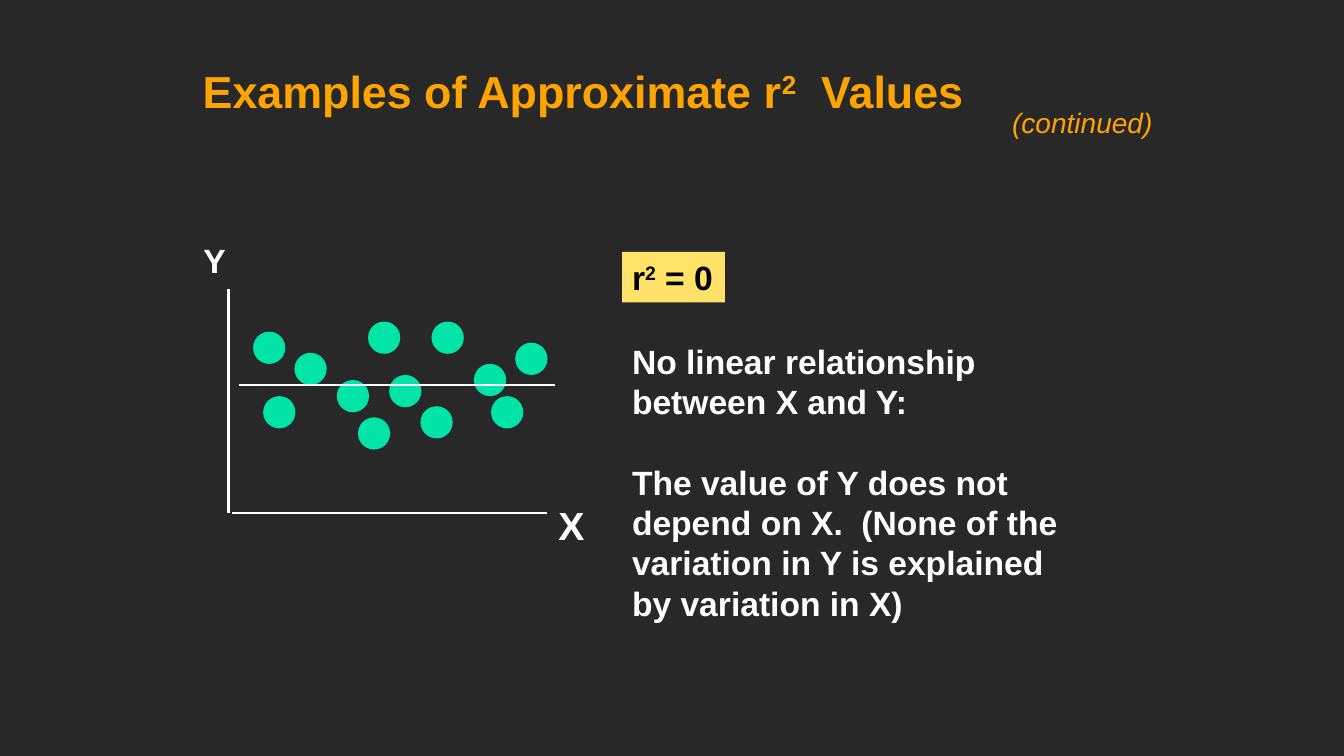
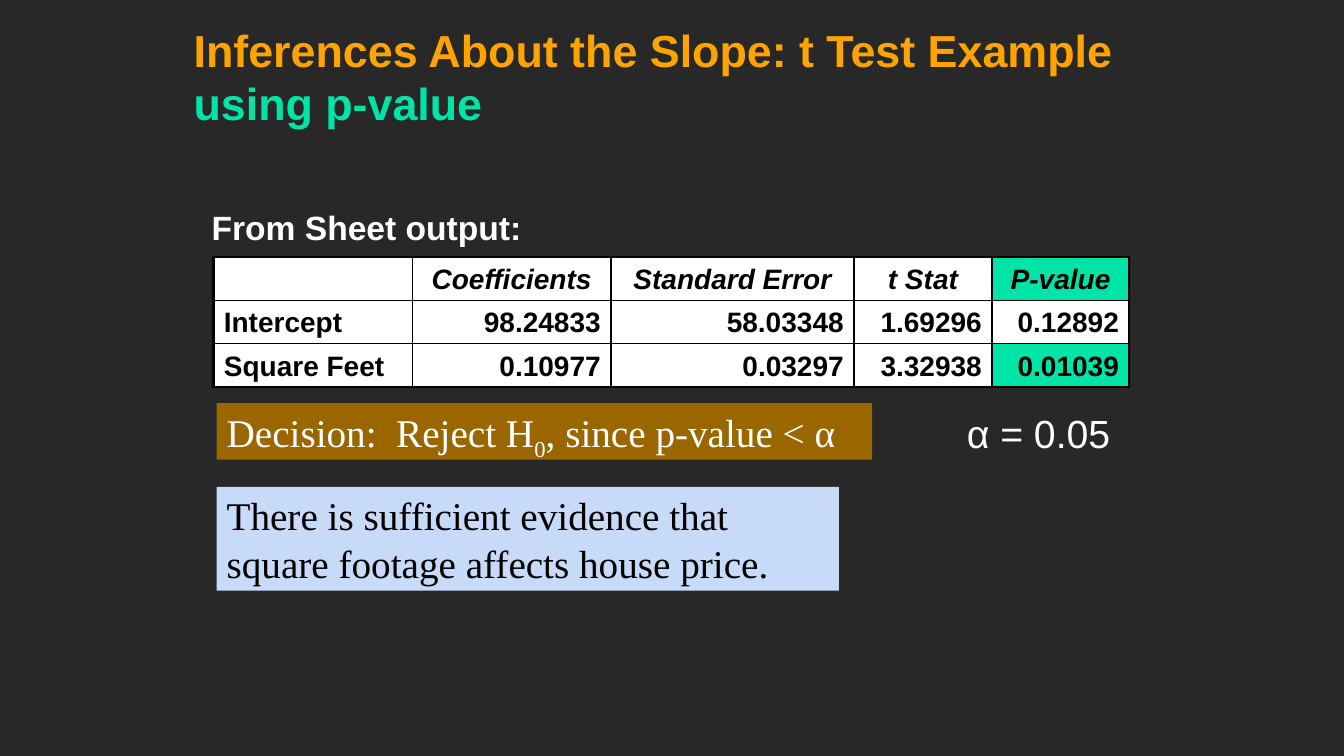
from lxml import etree
from pptx import Presentation
from pptx import util as u
from pptx.dml.color import RGBColor
from pptx.enum import shapes, text
from pptx.oxml.ns import qn

Inches = u.Inches
BACKGROUND, ORANGE, GREEN = "282828", "FEA402", "00E4A8"
WHITE, BLACK, YELLOW = "FFFFFF", "000000", "FFE267"
BROWN, PALE_BLUE = "996600", "C7DAF7"


def color(value):
    return RGBColor.from_string(value)


def write(frame, paragraphs, size, ink, bold=False, italic=False, font="Arial"):
    """Fill a text frame; a paragraph is a list of (text, baseline percent, colour or None)."""
    frame.word_wrap = True
    frame.auto_size = text.MSO_AUTO_SIZE.NONE
    for index, pieces in enumerate(paragraphs):
        paragraph = frame.paragraphs[0] if index == 0 else frame.add_paragraph()
        paragraph.alignment = text.PP_ALIGN.LEFT
        if index:
            paragraph.space_before = u.Pt(size * 1.2)
        for words, baseline, run_color in pieces:
            run = paragraph.add_run()
            run.text = words
            run.font.name, run.font.size = font, u.Pt(size)
            run.font.bold, run.font.italic = bold, italic
            run.font.color.rgb = color(run_color or ink)
            if baseline:
                run.font._element.set("baseline", str(baseline * 1000))


presentation = Presentation()
presentation.slide_width, presentation.slide_height = Inches(13.33), Inches(7.5)
background = presentation.slide_master.background.fill
background.solid()
background.fore_color.rgb = color(BACKGROUND)

# Titles
titles = [
    ((1.92, 0.13, 8.5, 1.08), 0.8,
     [("Examples of Approximate r", 0, None), ("2", 30, None), ("  Values", 0, None)]),
    ((1.83, 0.26, 9.67, 1.08), 1.0,
     [("Inferences About the Slope: t Test Example ", 0, None), ("using p-value", 0, GREEN)]),
]
for box, spacing, pieces in titles:
    title = presentation.slides.add_slide(presentation.slide_layouts[5]).shapes.title
    title.left, title.top, title.width, title.height = map(Inches, box)
    frame = title.text_frame
    frame.vertical_anchor = text.MSO_ANCHOR.BOTTOM
    frame.margin_left = frame.margin_right = Inches(0.09)
    write(frame, [pieces], 32, ORANGE, bold=True)
    frame.paragraphs[0].line_spacing = spacing
scatter_slide, test_slide = presentation.slides

# Scatter plot: points, then axes and the flat fitted line
diameter = 0.32
points = [
    (2.61, 3.93), (5.11, 3.4), (4.7, 3.61), (4.17, 4.03), (4.28, 3.19), (3.65, 3.19),
    (2.51, 3.29), (2.92, 3.5), (3.34, 3.77), (3.86, 3.72), (3.55, 4.14), (4.87, 3.93),
]
for left, top in points:
    point = scatter_slide.shapes.add_shape(
        shapes.MSO_SHAPE.OVAL, Inches(left), Inches(top), Inches(diameter), Inches(diameter))
    point.shadow.inherit = False
    point.fill.solid()
    point.fill.fore_color.rgb = color(GREEN)
    point.line.fill.background()

for ends in [(2.27, 2.87, 2.27, 5.09), (2.3, 5.09, 5.43, 5.09), (2.37, 3.82, 5.5, 3.82)]:
    line = scatter_slide.shapes.add_connector(
        shapes.MSO_CONNECTOR.STRAIGHT, *map(Inches, ends))
    line.line.color.rgb = color(WHITE)
    line.line.width = u.Pt(2)
    etree.SubElement(line._element.spPr, qn("a:effectLst"))

# Text boxes: slide, box, fill, paragraphs, size, colour, bold, italic, font
boxes = [
    (scatter_slide, (6.17, 2.5, 1.02, 0.5), YELLOW,
     [[("r", 0, None), ("2", 30, None), (" = 0", 0, None)]], 24, BLACK, True, False, "Arial"),
    (scatter_slide, (6.17, 3.33, 4.58, 2.93), None,
     [[("No linear relationship between X and Y:", 0, None)],
      [("The value of Y does not depend on X.  (None of the variation in Y is explained "
        "by variation in X)", 0, None)]], 24, WHITE, True, False, "Arial"),
    (scatter_slide, (1.92, 2.33, 0.53, 0.64), None,
     [[("Y", 0, None)]], 24, WHITE, True, False, "Arial"),
    (scatter_slide, (5.44, 4.92, 0.46, 0.57), None,
     [[("X", 0, None)]], 28, WHITE, True, False, "Arial"),
    (scatter_slide, (9.94, 1, 1.61, 0.43), None,
     [[("(continued)", 0, None)]], 20, ORANGE, False, True, "Arial"),
    (test_slide, (2, 2, 4.01, 0.5), None,
     [[("From Sheet output:", 0, None)]], 24, WHITE, True, False, "Arial"),
    (test_slide, (2.15, 4.83, 6.17, 1.03), PALE_BLUE,
     [[("There is sufficient evidence that square footage affects house price.", 0, None)]],
     28, BLACK, False, False, "Times New Roman"),
    (test_slide, (2.15, 4, 6.5, 0.56), BROWN,
     [[("Decision:  Reject H", 0, None), ("0", -25, None), (", since p-value < α", 0, None)]],
     28, WHITE, False, False, "Times New Roman"),
    (test_slide, (9.49, 4.01, 1.72, 0.57), None,
     [[("α = 0.05", 0, None)]], 28, WHITE, False, False, "Arial"),
]
for slide, box, fill, paragraphs, *style in boxes:
    text_box = slide.shapes.add_textbox(*map(Inches, box))
    if fill:
        text_box.fill.solid()
        text_box.fill.fore_color.rgb = color(fill)
    write(text_box.text_frame, paragraphs, *style)

# Regression table: thick outer frame, thin inner lines
rows = [
    ["", "Coefficients", "Standard Error", "t Stat", "P-value"],
    ["Intercept", "98.24833", "58.03348", "1.69296", "0.12892"],
    ["Square Feet", "0.10977", "0.03297", "3.32938", "0.01039"],
]
column_widths = [1.97, 1.97, 2.41, 1.37, 1.36]
highlighted = {(0, 4), (2, 4)}
last_row, last_column = len(rows) - 1, len(column_widths) - 1
table = test_slide.shapes.add_table(
    len(rows), len(column_widths), Inches(2.12), Inches(2.55),
    Inches(sum(column_widths)), Inches(1.3)).table
table.first_row = table.horz_banding = False
for column, width in zip(table.columns, column_widths):
    column.width = Inches(width)
for r, row in enumerate(rows):
    table.rows[r].height = Inches(0.43)
    for c, value in enumerate(row):
        cell = table.cell(r, c)
        cell.vertical_anchor = text.MSO_ANCHOR.BOTTOM
        properties = cell._tc.get_or_add_tcPr()
        outer = {"L": c == 0, "R": c == last_column, "T": r == 0, "B": r == last_row}
        for side, thick in outer.items():
            border = etree.SubElement(
                properties, qn("a:ln" + side), w=str(u.Pt(2.25 if thick else 1)))
            border_fill = etree.SubElement(border, qn("a:solidFill"))
            etree.SubElement(border_fill, qn("a:srgbClr"), val=BLACK)
        cell.fill.solid()
        cell.fill.fore_color.rgb = color(GREEN if (r, c) in highlighted else WHITE)
        paragraph = cell.text_frame.paragraphs[0]
        paragraph.text = value
        if r == 0:
            paragraph.alignment = text.PP_ALIGN.CENTER
        else:
            paragraph.alignment = text.PP_ALIGN.RIGHT if c else text.PP_ALIGN.LEFT
        paragraph.font.name, paragraph.font.size = "Arial", u.Pt(20)
        paragraph.font.bold, paragraph.font.italic = True, r == 0
        paragraph.font.color.rgb = color(BLACK)

presentation.save("out.pptx")
